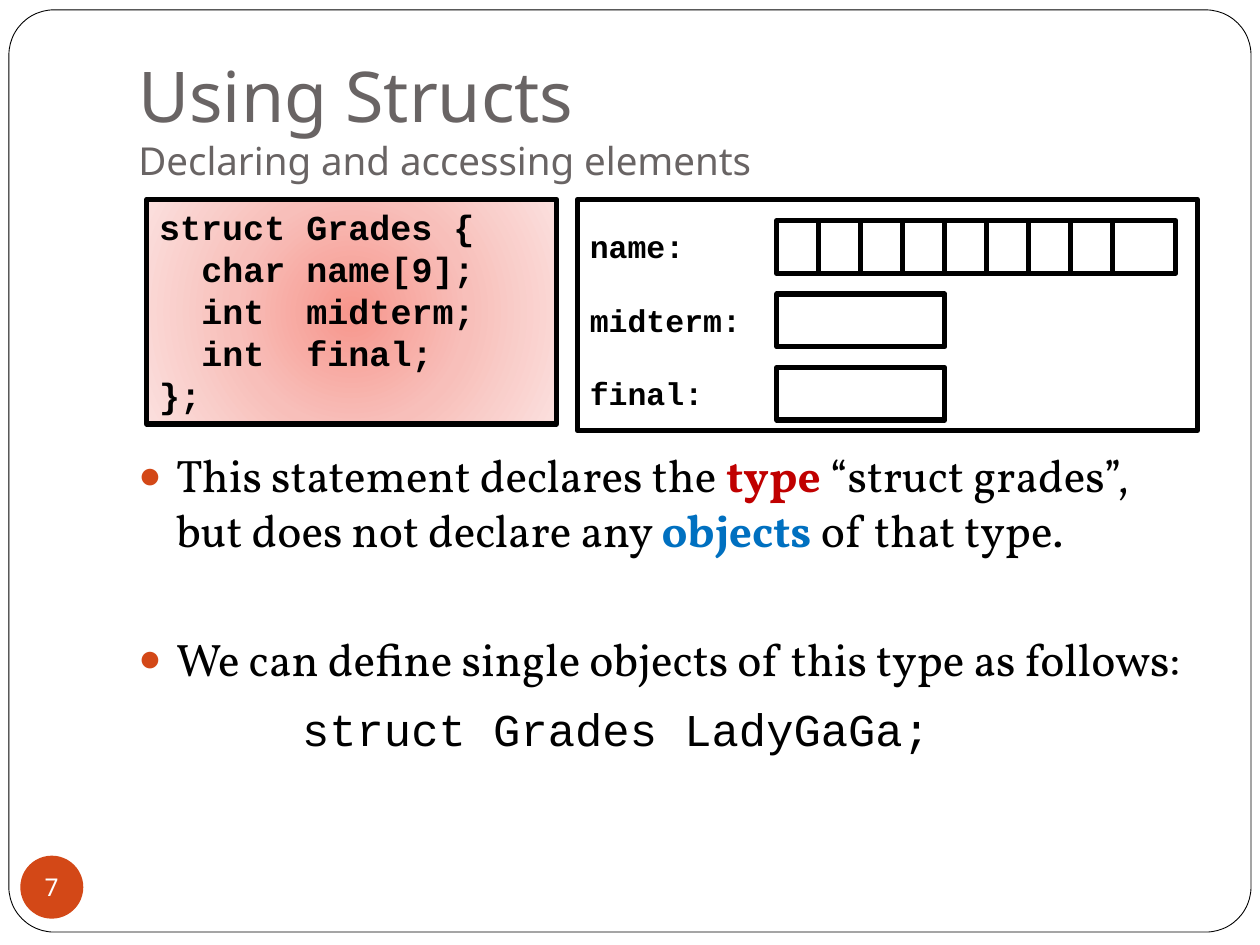
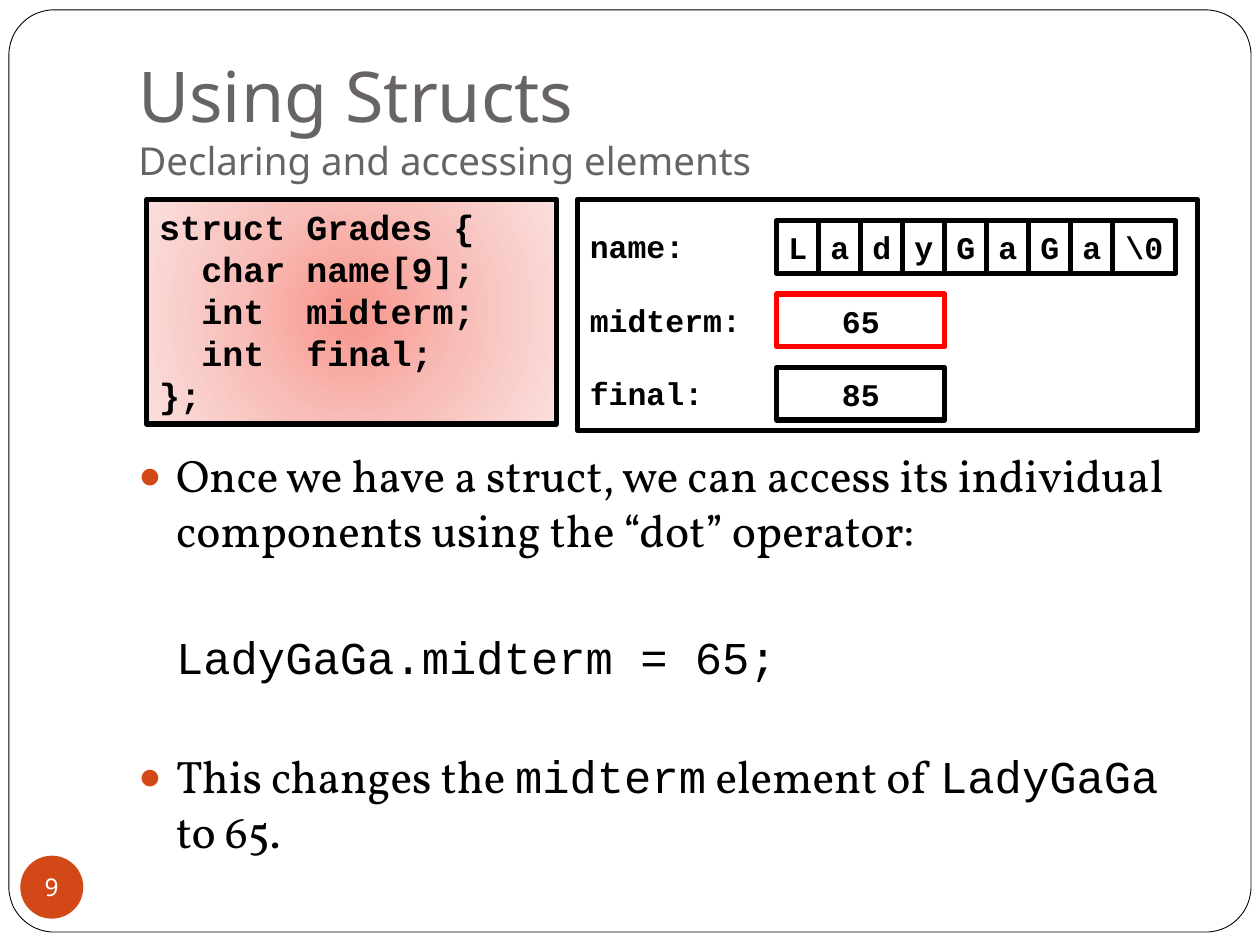
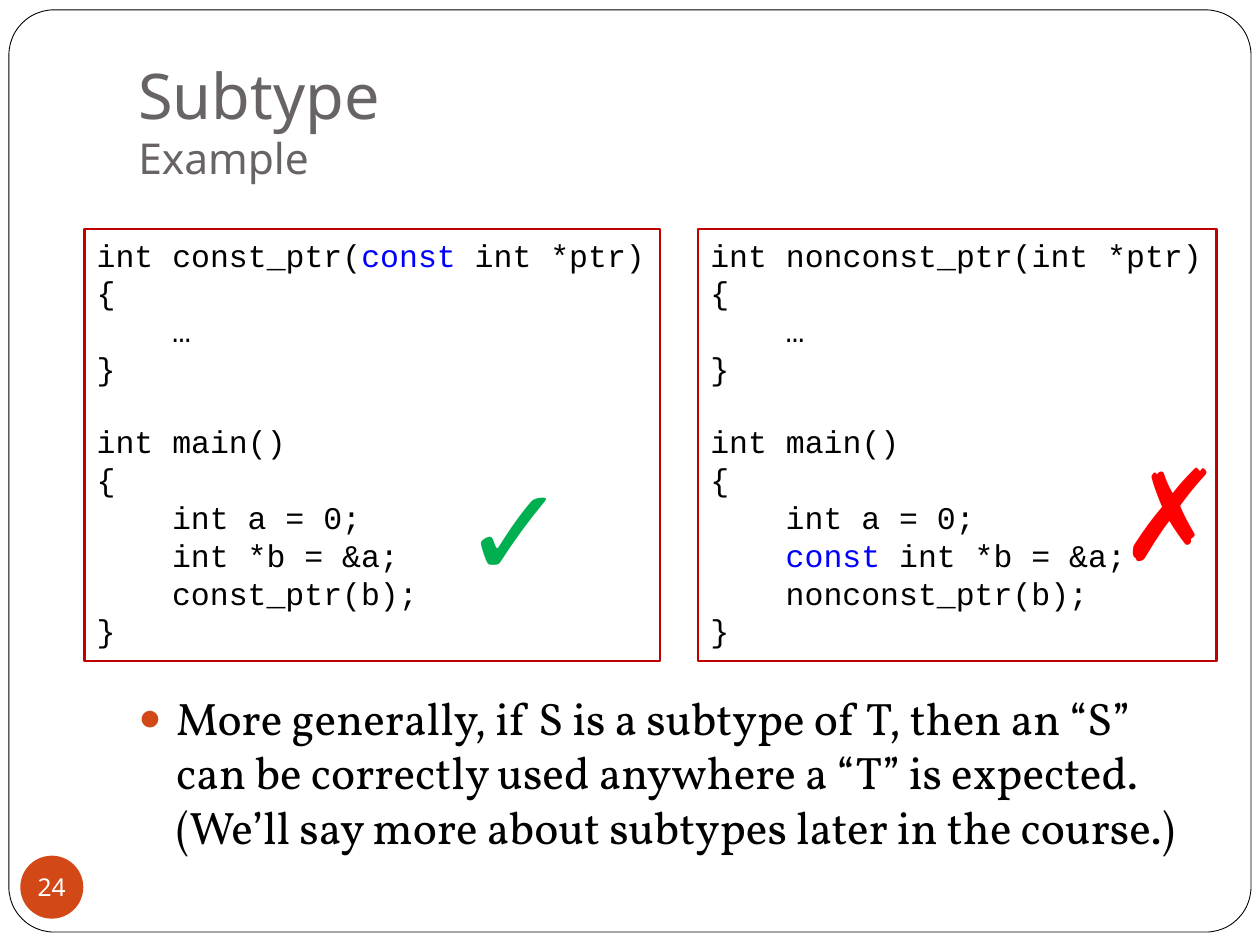
"""Builds three slides on C structs and subtypes."""
from dataclasses import dataclass
from typing import Any, Optional, Sequence, Union

from pptx import Presentation, oxml, util as u
from pptx.dml.color import RGBColor
from pptx.enum import shapes as sh, text as tx
from pptx.oxml.ns import qn

INK = {
    "black": "000000", "white": "FFFFFF", "grey": "696464", "orange": "D34817",
    "maroon": "C00000", "azure": "0070C0", "blue": "0000FF", "green": "00B050",
    "red": "FF0000", "core": "F7968C", "mid": "F8BFBA", "rim": "FBE0DE",
}
SANS, SERIF, MONO = "Noto Sans", "Vollkorn", "Courier New"
SPACE = "http://schemas.openxmlformats.org/drawingml/2006/main"
STEP = 1.48
CELL = 2.54 / 3
TALL = 1.06
RECT = sh.MSO_SHAPE.RECTANGLE


@dataclass(frozen=True)
class Run:
    """Holds text with its own look."""
    text: str
    color: Optional[str] = None
    font: Optional[str] = None
    bold: Optional[bool] = None
    size: Optional[float] = None


@dataclass(frozen=True)
class Line:
    """Holds one paragraph: gap in points, left in cm."""
    runs: Sequence[Union[str, Run]]
    gap: float = 0
    left: float = 0
    mark: bool = False


@dataclass(frozen=True)
class Box:
    """Holds a place in cm."""
    left: float
    top: float
    width: float
    height: float

    def spans(self) -> tuple:
        """Gives the place as lengths."""
        return tuple(u.Cm(v) for v in (self.left, self.top, self.width, self.height))


def rgb(name: str) -> RGBColor:
    """Looks up a colour."""
    return RGBColor.from_string(INK[name])


def node(tag: str, **attrs: str) -> Any:
    """Makes a drawing element."""
    item = oxml.parse_xml(f'<a:{tag} xmlns:a="{SPACE}"/>')
    for key, val in attrs.items():
        item.set(key, val)
    return item


def bullet(para: Any, mark: bool) -> None:
    """Sets or clears the bullet."""
    props = para._p.get_or_add_pPr()
    if not mark:
        props.append(node("buNone"))
        return
    tint = node("buClr")
    tint.append(node("srgbClr", val=INK["orange"]))
    for item in (tint, node("buSzPct", val="85000"), node("buChar", char="●")):
        props.append(item)


def write(shape: Any, lines: Sequence[Union[str, Line]], *, size: float, font: str,
          color: str = "black", bold: bool = False, align: Any = tx.PP_ALIGN.LEFT,
          anchor: Any = tx.MSO_ANCHOR.TOP,
          pad: Sequence[float] = (0.25, 0.13, 0, 0.13)) -> None:
    """Fills a shape with text in one format."""
    frame = shape.text_frame
    frame.word_wrap = True
    frame.auto_size = tx.MSO_AUTO_SIZE.NONE
    frame.vertical_anchor = anchor
    (frame.margin_left, frame.margin_top,
     frame.margin_right, frame.margin_bottom) = (u.Cm(v) for v in pad)
    for i, line in enumerate(lines):
        line = Line([line]) if isinstance(line, str) else line
        para = frame.add_paragraph() if i else frame.paragraphs[0]
        para.alignment = align
        para.space_before = u.Pt(line.gap)
        props = para._p.get_or_add_pPr()
        props.set("marL", str(u.Cm(line.left)))
        props.set("indent", str(u.Cm(-line.left if line.mark else 0)))
        bullet(para, line.mark)
        for part in line.runs:
            part = Run(part) if isinstance(part, str) else part
            if part.text == "\n":
                para.add_line_break()
                continue
            run = para.add_run()
            run.text = part.text
            look = run.font
            look.name = part.font or font
            look.size = u.Pt(part.size or size)
            look.bold = bold if part.bold is None else part.bold
            look.color.rgb = rgb(part.color or color)


def draw(slide: Any, kind: Any, box: Box, fill: Optional[str] = None,
         line: Optional[str] = None, width: float = 3) -> Any:
    """Adds a flat shape."""
    shape = slide.shapes.add_shape(kind, *box.spans())
    shape.shadow.inherit = False
    if fill:
        shape.fill.solid()
        shape.fill.fore_color.rgb = rgb(fill)
    else:
        shape.fill.background()
    if line:
        shape.line.color.rgb = rgb(line)
        shape.line.width = u.Pt(width)
    else:
        shape.line.fill.background()
    return shape


def glow(shape: Any) -> None:
    """Gives a shape a round gradient."""
    shape.fill.gradient()
    old = shape.element.spPr.find(qn("a:gradFill"))
    new, stops = node("gradFill", rotWithShape="1"), node("gsLst")
    for spot, name in ((0, "core"), (50, "mid"), (100, "rim")):
        stop = node("gs", pos=str(spot * 1000))
        stop.append(node("srgbClr", val=INK[name]))
        stops.append(stop)
    way = node("path", path="circle")
    way.append(node("fillToRect", l="50000", t="50000", r="50000", b="50000"))
    new.append(stops)
    new.append(way)
    old.getparent().replace(old, new)


def label(slide: Any, box: Box, words: str, **look: Any) -> None:
    """Adds a text box."""
    write(slide.shapes.add_textbox(*box.spans()), [words], **look)


def place(shape: Any, box: Box) -> None:
    """Moves a placeholder."""
    shape.left, shape.top, shape.width, shape.height = box.spans()


def border(slide: Any, plan: Any) -> None:
    """Puts the round frame on the layout."""
    edge = draw(slide, sh.MSO_SHAPE.ROUNDED_RECTANGLE,
                Box(0.18, 0.2, 25.04, 18.59), "white", "black", 0.5)
    edge.adjustments[0] = 0.049
    plan.placeholders[0].element.getparent().insert(2, edge.element)


def start(deck: Any, head: Run, sub: Run, page: int, box: Box,
          lines: Sequence[Line]) -> Any:
    """Adds a slide with title, list and page number."""
    slide = deck.slides.add_slide(deck.slide_layouts[1])
    title, body = slide.shapes.title, slide.placeholders[1]
    place(title, Box(2.54, 0.76, 21.59, 3.18))
    write(title, [Line([head, Run("\n"), sub])], size=40, font=SANS, color="grey",
          anchor=tx.MSO_ANCHOR.BOTTOM, pad=(0.25, 0.13, 0.25, 0.25))
    place(body, box)
    write(body, lines, size=26, font=SERIF, pad=(0.25, 0.13, 0.25, 0.13))
    dot = draw(slide, sh.MSO_SHAPE.OVAL, Box(0.41, 17.25, 1.27, 1.27), "orange")
    write(dot, [str(page)], size=14, font=SANS, color="white",
          align=tx.PP_ALIGN.CENTER, anchor=tx.MSO_ANCHOR.MIDDLE, pad=(0, 0, 0, 0))
    return slide


def point(*runs: Union[str, Run], gap: float = 5.8) -> Line:
    """Makes a bulleted line."""
    return Line(runs, gap, 0.76, True)


def field(slide: Any, box: Box, value: str, line: str = "black") -> None:
    """Draws one memory cell."""
    cell = draw(slide, RECT, box, line=line)
    if value:
        write(cell, [value], size=18, font=MONO, bold=True, align=tx.PP_ALIGN.CENTER,
              anchor=tx.MSO_ANCHOR.MIDDLE, pad=(0, 0.13, 0, 0.13))


def struct(slide: Any, name: Sequence[str], marks: Sequence[str],
           hot: Optional[int] = None) -> None:
    """Draws the struct code and its memory."""
    code = draw(slide, RECT, Box(2.96, 4.02, 8.26, 4.53), line="black")
    glow(code)
    inner = ("char name[9];", "int  midterm;", "int  final;")
    write(code, ["struct Grades {", *(Line([t], left=0.85) for t in inner), "};"],
          size=20, font=MONO, bold=True)
    draw(slide, RECT, Box(11.64, 4.02, 12.5, 4.66), line="black")
    tops = [4.45 + STEP * i for i in range(3)]
    for top, word in zip(tops, ("name:", "midterm:", "final:")):
        label(slide, Box(11.64, top, 3.6, 1.02), word, size=18, font=MONO, bold=True)
    for i, char in enumerate(name):
        wide = 1.27 if i == len(name) - 1 else CELL
        field(slide, Box(15.66 + CELL * i, tops[0], wide, TALL), char)
    for i, mark in enumerate(marks):
        field(slide, Box(15.66, tops[i + 1], 4 * CELL, TALL), mark,
              "red" if i == hot else "black")


def sample(slide: Any, left: float, width: float, head: Sequence[Union[str, Run]],
           second: Sequence[Union[str, Run]], call: str) -> None:
    """Draws one framed program."""
    box = draw(slide, RECT, Box(left, 4.62, width, 8.71), line="maroon", width=1.5)
    deep = 1.52
    write(box, [Line(head), "{", Line(["…"], left=deep), "}",
                Line(["int main()"], gap=20.4), "{",
                Line(["int a = 0;"], left=deep), Line(second, left=deep),
                Line([call], left=deep), "}"], size=18, font=MONO)


def main() -> None:
    """Builds and saves the deck."""
    deck = Presentation()
    deck.slide_width, deck.slide_height = u.Cm(25.4), u.Cm(19.05)
    head, sub = Run("Using Structs"), Run("Declaring and accessing elements", size=22)

    types = start(deck, head, sub, 7, Box(2.54, 8.89, 21.79, 6.35), [
        point("This statement declares the ", Run("type", "maroon", bold=True),
              " “struct grades”, but does not declare any ",
              Run("objects ", "azure", bold=True), "of that type."),
        point("We can define single objects of this type as follows:", gap=42.5),
        Line([Run("struct Grades LadyGaGa;", font=MONO)], 9, 3.3)])
    border(types, deck.slide_layouts[1])
    struct(types, [""] * 9, ["", ""])

    access = start(deck, head, sub, 9, Box(2.54, 8.89, 21.79, 9.53), [
        point("Once we have a struct, we can access its individual components "
              "using the “dot” operator:"),
        Line([Run("LadyGaGa.midterm = 65;", font=MONO)], 41.5, 0.76),
        point("This changes the ", Run("midterm", font=MONO), " element of ",
              Run("LadyGaGa", font=MONO), " to 65.", gap=37)])
    struct(access, [*"LadyGaGa", "\\0"], ["65", "85"], hot=0)

    subs = start(deck, Run("Subtype", size=36), Run("Example", size=24.3), 24,
                 Box(2.54, 13.77, 21.59, 4.24), [
        point("More generally, if S is a subtype of T, then an “S” can be correctly "
              "used anywhere a “T” is expected. (We’ll say more about subtypes "
              "later in the course.)")])
    const = Run("const ", "blue")
    sample(subs, 1.7, 11.61, ["int const_ptr(", const, "int *ptr)"],
           ["int *b = &a;"], "const_ptr(b);")
    sample(subs, 14.07, 10.46, ["int nonconst_ptr(int *ptr)"],
           [const, "int *b = &a;"], "nonconst_ptr(b);")
    label(subs, Box(9.07, 8.97, 2.54, 3.33), "✓", size=72, font=SERIF, color="green")
    label(subs, Box(22.3, 8.64, 2.13, 3.33), "✗", size=72, font=SERIF, color="red")
    deck.save("out.pptx")


main()
